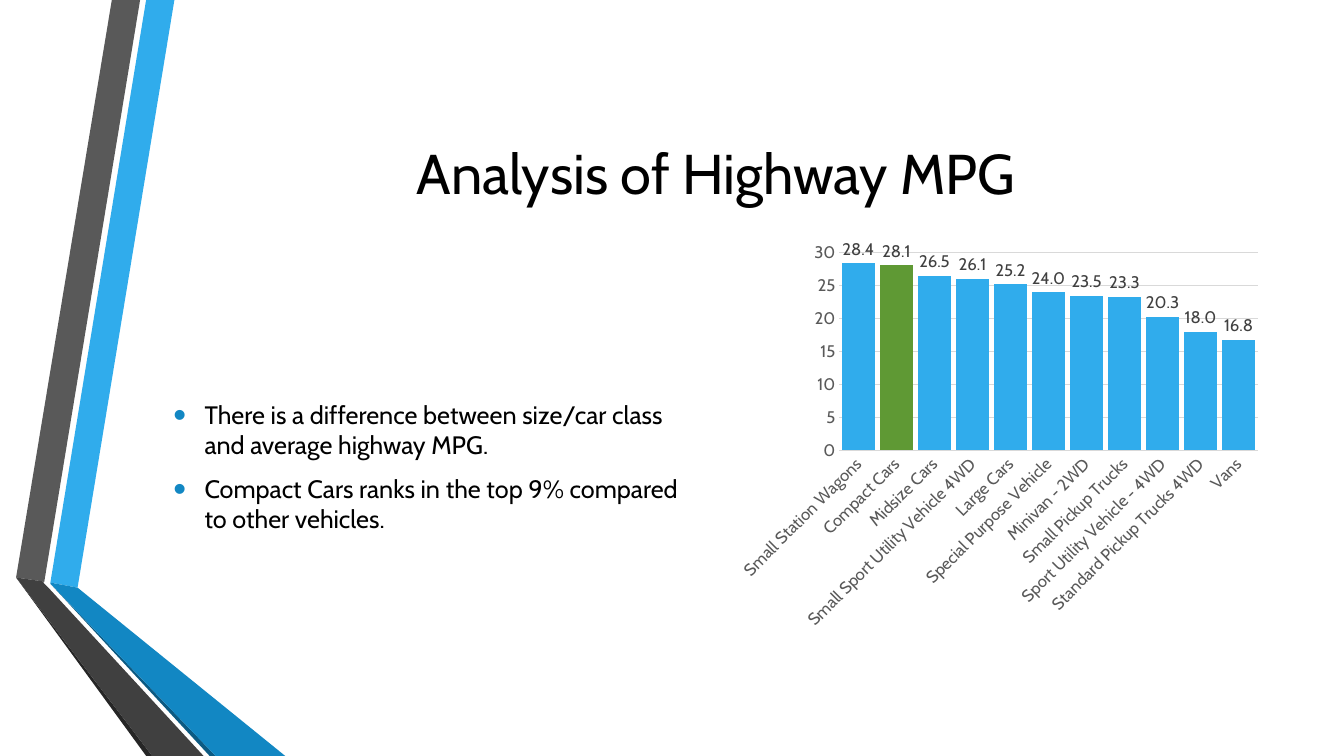
"""Build the slide on highway MPG by vehicle class."""
from lxml import etree
from pptx import Presentation
from pptx.chart.data import CategoryChartData as ChartData
from pptx.dml.color import RGBColor
from pptx.enum.chart import XL_CHART_TYPE as ChartType
from pptx.enum.chart import XL_LABEL_POSITION as LabelPosition
from pptx.enum.chart import XL_TICK_MARK as TickMark
from pptx.enum.text import MSO_ANCHOR as Anchor
from pptx.enum.text import PP_ALIGN as Align
from pptx.oxml.ns import qn
from pptx.util import Inches, Pt

BLUE, GREEN, DEEP_BLUE = "30ACEC", "5F9934", "1287C3"
GRID, AXIS_TEXT, LABEL_TEXT = "D9D9D9", "595959", "404040"

RIBBONS = [
    (BLUE, [(0.5, 5.78), (0.77, 5.83), (1.73, 0), (1.45, 0)]),
    ("595959", [(1.39, 0), (1.11, 0), (0.16, 5.73), (0.44, 5.77)]),
    ("262626", [(0.16, 5.73), (1.45, 7.5), (1.51, 7.5)]),
    ("0C5A82", [(0.5, 5.79), (2.08, 7.5), (2.14, 7.5)]),
    (DEEP_BLUE, [(0.5, 5.78), (0.5, 5.79), (2.14, 7.5), (2.83, 7.5), (0.77, 5.83)]),
    ("404040", [(2.02, 7.5), (0.48, 5.83), (0.43, 5.78), (0.44, 5.77), (0.16, 5.73), (1.51, 7.5)]),
]

FINDINGS = [
    "There is a difference between size/car class and average highway MPG.",
    "Compact Cars ranks in the top 9% compared to other vehicles.",
]

HIGHWAY_MPG = {
    "Small Station Wagons": 28.4,
    "Compact Cars": 28.1,
    "Midsize Cars": 26.5,
    "Small Sport Utility Vehicle 4WD": 26.1,
    "Large Cars": 25.2,
    "Special Purpose Vehicle": 24.0,
    "Minivan - 2WD": 23.5,
    "Small Pickup Trucks": 23.3,
    "Sport Utility Vehicle - 4WD": 20.3,
    "Standard Pickup Trucks 4WD": 18.0,
    "Vans": 16.8,
}


def color(value):
    return RGBColor.from_string(value)


class SlideBuilder:
    def __init__(self, slide, font="Cabin"):
        self.shapes = slide.shapes
        self.font = font

    def style(self, font, size, ink):
        font.name = self.font
        font.size = Pt(size)
        font.color.rgb = color(ink)

    def ribbon(self, fill, points):
        corners = [(Inches(x), Inches(y)) for x, y in points]
        outline = self.shapes.build_freeform(*corners[0])
        outline.add_line_segments(corners[1:], close=True)
        shape = outline.convert_to_shape()
        shape.shadow.inherit = False
        shape.fill.solid()
        shape.fill.fore_color.rgb = color(fill)
        shape.line.fill.background()

    def text(self, lines, place, size=18, ink="000000", align=Align.LEFT, bullet=None):
        box = self.shapes.add_textbox(*map(Inches, place))
        frame = box.text_frame
        frame.word_wrap = True
        frame.vertical_anchor = Anchor.MIDDLE
        for index, line in enumerate(lines):
            para = frame.add_paragraph() if index else frame.paragraphs[0]
            para.alignment = align
            span = para.add_run()
            span.text = line
            self.style(span.font, size, ink)
            if bullet:
                para.space_before, para.space_after = Pt(3.6), Pt(6)
                self.bullet(para, bullet)

    def bullet(self, para, ink):
        props = para._p.get_or_add_pPr()
        props.set("marL", str(Inches(0.31)))
        props.set("indent", str(Inches(-0.31)))
        tint = etree.SubElement(props, qn("a:buClr"))
        etree.SubElement(tint, qn("a:srgbClr"), val=ink)
        etree.SubElement(props, qn("a:buSzPct"), val="145000")
        etree.SubElement(props, qn("a:buFont"), typeface="Arial")
        etree.SubElement(props, qn("a:buChar"), char="•")

    def column_chart(self, values, place, highlight):
        data = ChartData()
        data.categories = list(values)
        data.add_series("Series 1", list(values.values()))
        chart = self.shapes.add_chart(
            ChartType.COLUMN_CLUSTERED, *map(Inches, place), data).chart
        chart.has_legend = chart.has_title = False
        self.style(chart.font, 10, "000000")
        self.axes(chart)

        plot = chart.plots[0]
        plot.gap_width = 15
        plot.vary_by_categories = False
        series = plot.series[0]
        marked = series.points[list(values).index(highlight)]
        for part, fill in ((series, BLUE), (marked, GREEN)):
            part.format.fill.solid()
            part.format.fill.fore_color.rgb = color(fill)

        labels = series.data_labels
        labels.show_value = True
        labels.number_format = "#,##0.0"
        labels.number_format_is_linked = False
        labels.position = LabelPosition.OUTSIDE_END
        self.style(labels.font, 12, LABEL_TEXT)

    def axes(self, chart):
        across, up = chart.category_axis, chart.value_axis
        for axis in (across, up):
            axis.major_tick_mark = axis.minor_tick_mark = TickMark.NONE
            self.style(axis.tick_labels.font, 12, AXIS_TEXT)
        up.minimum_scale, up.maximum_scale, up.major_unit = 0, 30, 5
        up.tick_labels.number_format = "0"
        up.tick_labels.number_format_is_linked = False
        up.format.line.fill.background()
        for line in (across.format.line, up.major_gridlines.format.line):
            line.color.rgb = color(GRID)
            line.width = Pt(0.75)
        across._element.find(f"{qn('c:txPr')}/{qn('a:bodyPr')}").set("rot", "-2700000")


def main():
    deck = Presentation()
    deck.slide_width, deck.slide_height = Inches(13.33), Inches(7.5)
    page = SlideBuilder(deck.slides.add_slide(deck.slide_layouts[6]))
    for fill, points in RIBBONS:
        page.ribbon(fill, points)
    page.text(["Analysis of Highway MPG"], (1.62, 0.75, 10.96, 1.92),
              size=40, align=Align.CENTER)
    page.text(FINDINGS, (1.62, 2.92, 5.35, 3.42), bullet=DEEP_BLUE)
    page.column_chart(HIGHWAY_MPG, (7.23, 2.33, 5.35, 4), highlight="Compact Cars")
    deck.save("out.pptx")


if __name__ == "__main__":
    main()
